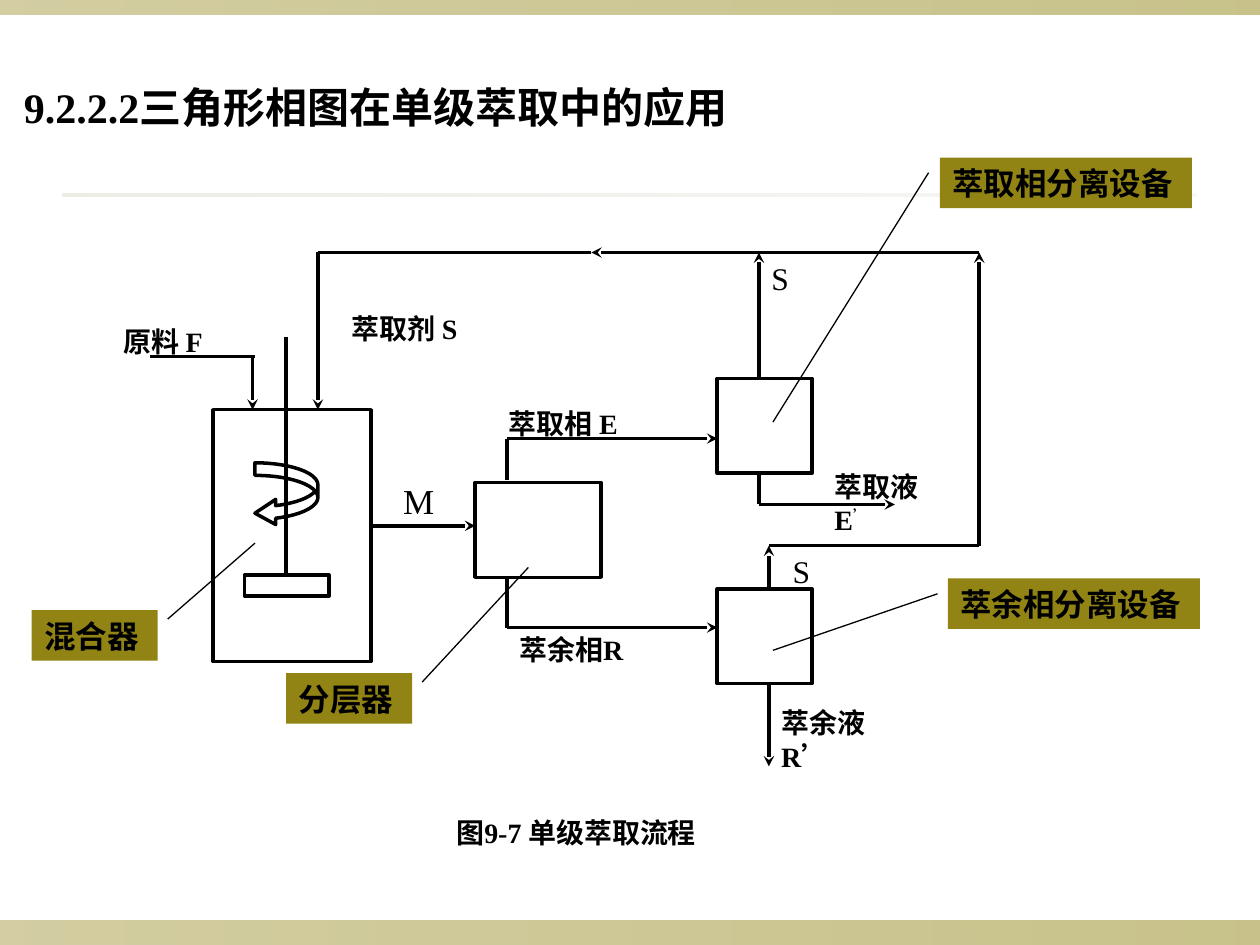
import itertools
import lxml.etree
import pptx
import pptx.dml.color
import pptx.enum.shapes
import pptx.enum.text
import pptx.oxml.ns
import pptx.util

Cm = pptx.util.Cm
Pt = pptx.util.Pt
qn = pptx.oxml.ns.qn
SHAPE = pptx.enum.shapes.MSO_SHAPE
ANCHOR = pptx.enum.text.MSO_ANCHOR
BLACK = "000000"
OLIVE = "918415"
LABEL = {"size": Pt(16), "bold": True}
STREAM = {"size": Pt(18), "bold": False}
MIXTURE = {"size": Pt(20), "bold": False}
CALLOUT = {"size": Pt(18), "bold": True}
TITLE = {"size": Pt(24), "bold": True}


def rgb(value):
    return pptx.dml.color.RGBColor.from_string(value)


def shift(box, x, y):
    return box[0] + x, box[1] + y


def format_font(font, values):
    for name, value in {"name": "Times New Roman", **values}.items():
        setattr(font, name, value)
    font.color.rgb = rgb(BLACK)


def set_frame(tf):
    values = {"word_wrap": True, "vertical_anchor": ANCHOR.TOP,
              "auto_size": pptx.enum.text.MSO_AUTO_SIZE.NONE,
              "margin_left": Cm(0.25), "margin_right": Cm(0.25),
              "margin_top": Cm(0.13), "margin_bottom": Cm(0.13)}
    for name, value in values.items():
        setattr(tf, name, value)


def write(tf, text, values):
    set_frame(tf)
    p = tf.paragraphs[0]
    p.alignment = pptx.enum.text.PP_ALIGN.LEFT
    r = p.add_run()
    r.text = text
    format_font(r.font, values)
    return p


def add_block(s, kind, pos, size, fill=None, line=None):
    sp = s.shapes.add_shape(kind, *map(Cm, pos + size))
    sp.shadow.inherit = False
    if fill:
        sp.fill.solid()
        sp.fill.fore_color.rgb = rgb(fill)
    else:
        sp.fill.background()
    if line:
        sp.line.color.rgb = rgb(line)
        sp.line.width = Pt(2)
    else:
        sp.line.fill.background()
    return sp


def add_label(s, pos, size, text, values):
    sp = s.shapes.add_textbox(*map(Cm, pos + size))
    return write(sp.text_frame, text, values)


def add_line(s, start, end, width=2, arrow=False):
    sp = s.shapes.add_connector(pptx.enum.shapes.MSO_CONNECTOR.STRAIGHT,
                                *map(Cm, start + end))
    sp.line.color.rgb = rgb(BLACK)
    sp.line.width = Pt(width)
    if arrow:
        lxml.etree.SubElement(sp.line._get_or_add_ln(), qn("a:tailEnd"), type="stealth")
    lxml.etree.SubElement(sp._element.spPr, qn("a:effectLst"))


def add_pipe(s, box, points, arrow=True):
    last = len(points) - 1
    for i, (start, end) in enumerate(itertools.pairwise(points), 1):
        add_line(s, shift(box, *start), shift(box, *end), arrow=arrow and i == last)


def add_band(s, box, color, alphas):
    sp = add_block(s, SHAPE.RECTANGLE, box[:2], box[2:])
    sp.fill.gradient()
    sp.fill.gradient_angle = 0
    for stop, alpha in zip(sp.fill.gradient_stops, alphas):
        stop.color.rgb = rgb(color)
    for clr, alpha in zip(sp._element.spPr.iter(qn("a:srgbClr")), alphas):
        lxml.etree.SubElement(clr, qn("a:alpha"), val=str(alpha * 1000))


def add_frame(s, box):
    x, y, w, h = box
    add_band(s, (x, y + h - 0.5, w, 0.5), OLIVE, (40, 50))
    add_band(s, (x, y, w, 0.3), OLIVE, (40, 50))
    add_band(s, (x + 1.27, y + 3.91, w - 2.54, 0.05), "DCD9CC", (50, 20))


def add_title(s, box, text):
    sp = s.shapes.title
    sp.left, sp.top, sp.width, sp.height = map(Cm, box)
    write(sp.text_frame, text, TITLE)


def add_mixer(s, box):
    add_line(s, shift(box, 1.47, -1.47), shift(box, 1.47, 3.38))
    for kind, pos, size in ((SHAPE.RECTANGLE, (0, 0), (3.18, 5.08)),
                            (SHAPE.RECTANGLE, (0.63, 3.33), (1.7, 0.43))):
        add_block(s, kind, shift(box, *pos), size, line=BLACK)
    sp = add_block(s, SHAPE.CURVED_LEFT_ARROW, shift(box, 0.84, 1.07), (1.27, 1.27), line=BLACK)
    for i, value in enumerate((0.2, 0.4, 0.33)):
        sp.adjustments[i] = value


def add_pipes(s, box):
    add_pipe(s, box, [(2.39, 4.01), (4.5, 4.01)], arrow=False)
    for points in (
        [(4.45, 4.01), (4.45, 5.08)],
        [(6.88, 7.42), (8.94, 7.42)],
        [(9.58, 6.5), (9.58, 5.66), (13.82, 5.66)],
        [(9.58, 8.46), (9.58, 9.47), (13.82, 9.47)],
        [(14.66, 6.35), (14.66, 6.99), (17.4, 6.99)],
        [(14.86, 8.69), (14.86, 7.82)],
        [(14.86, 7.82), (19.1, 7.82), (19.1, 1.91)],
        [(19.1, 1.91), (11.28, 1.91)],
        [(11.28, 1.91), (5.77, 1.91), (5.77, 4.01), (5.77, 5.08)],
        [(14.66, 4.45), (14.66, 1.91)],
        [(14.86, 10.6), (14.86, 12.27)],
    ):
        add_pipe(s, box, points)


def add_labels(s, box):
    for x, y, w, text, values in (
        (1.6, 3.23, 3.38, "原料 F", LABEL),
        (6.2, 2.97, 3.61, "萃取剂 S", LABEL),
        (9.37, 4.88, 3.18, "萃取相 E", LABEL),
        (9.58, 9.45, 3.18, "萃余相R", LABEL),
        (7.24, 6.35, 1.27, "M", MIXTURE),
        (14.66, 1.91, 1.91, "S", STREAM),
        (15.09, 7.82, 1.91, "S", STREAM),
        (8.31, 13.13, 6.99, "图9-7 单级萃取流程", LABEL),
    ):
        add_label(s, shift(box, x, y), (w, 0.94), text, values)


def add_product(s, pos, text, letter, prime, baseline=0):
    p = add_label(s, pos, (3.18, 0.94), text, LABEL)
    p.add_line_break()
    for part, values in ((letter, LABEL), ("’", prime)):
        r = p.add_run()
        r.text = part
        format_font(r.font, values)
    if baseline:
        r.font._element.set("baseline", str(baseline))


def add_callout(s, box, pos, width, text, target, end):
    sp = add_block(s, SHAPE.RECTANGLE, shift(box, *pos), (width, 1.02), fill=OLIVE)
    write(sp.text_frame, text, CALLOUT)
    add_line(s, shift(box, *target), shift(box, *end), width=0.75)


def add_flowsheet(s, box):
    add_mixer(s, shift(box, 3.66, 5.08))
    for pos, size in (((8.94, 6.55), (2.54, 1.91)),
                      ((13.82, 4.45), (1.91, 1.91)),
                      ((13.82, 8.69), (1.91, 1.91))):
        add_block(s, SHAPE.RECTANGLE, shift(box, *pos), size, line=BLACK)
    add_pipes(s, box)
    add_labels(s, box)
    add_product(s, shift(box, 14.86, 10.92), "萃余液", "R", {**LABEL, "name": "Arial"})
    add_product(s, shift(box, 15.93, 6.15), "萃取液", "E", {**LABEL, "bold": False}, 30000)
    for callout in (
        ((0, 9.12), 2.54, "混合器", (4.5, 7.77), (2.74, 9.3)),
        ((5.13, 10.39), 2.54, "分层器", (10.01, 8.26), (7.87, 10.57)),
        ((18.31, 0), 5.08, "萃取相分离设备", (14.94, 5.33), (18.08, 0.3)),
        ((18.47, 8.48), 5.08, "萃余相分离设备", (14.94, 9.93), (18.26, 8.79)),
    ):
        add_callout(s, box, *callout)


def main():
    prs = pptx.Presentation()
    prs.slide_width, prs.slide_height = Cm(25.4), Cm(19.05)
    s = prs.slides.add_slide(prs.slide_layouts[5])
    add_frame(s, (0, 0, 25.4, 19.05))
    add_flowsheet(s, (0.64, 3.18))
    add_title(s, (0.23, 1.52, 19.48, 1.27), "9.2.2.2三角形相图在单级萃取中的应用")
    prs.save("out.pptx")


if __name__ == "__main__":
    main()
